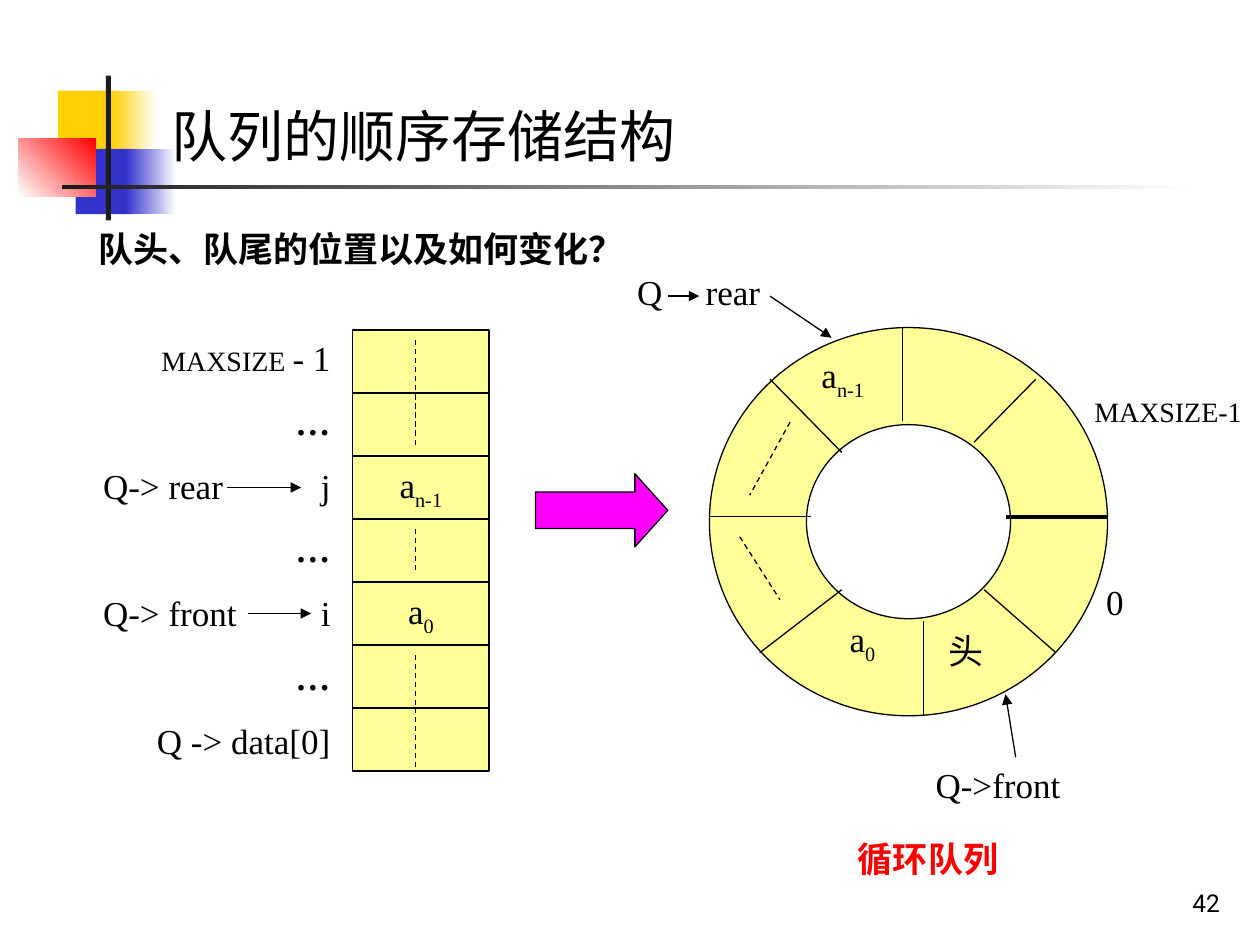
from dataclasses import dataclass

from lxml.etree import SubElement
from pptx import Presentation
from pptx.dml.color import RGBColor
from pptx.enum.dml import MSO_LINE
from pptx.enum.shapes import MSO_CONNECTOR, MSO_SHAPE
from pptx.enum.text import MSO_ANCHOR, PP_ALIGN
from pptx.oxml.ns import qn
from pptx.util import Pt


@dataclass(frozen=True)
class Theme:
    black: str = "000000"
    dark: str = "1C1C1C"
    white: str = "FFFFFF"
    gold: str = "FFCF01"
    blue: str = "3333CC"
    red: str = "FF0000"
    cell: str = "FFFF99"
    magenta: str = "FF00FF"
    serif: str = "Times New Roman"
    sans: str = "Roboto"
    cjk: str = "Noto Sans CJK SC"
    heading: str = "Noto Sans CJK JP"
    title_size: float = 32
    body_size: float = 20
    small_size: float = 16
    number_size: float = 14
    thin: float = 0.75
    thick: float = 2.25


@dataclass(frozen=True)
class Box:
    left: float
    top: float
    width: float
    height: float

    def inner(self, x, y, width, height):
        return Box(self.left + x, self.top + y, width, height)

    def emu(self):
        return Pt(self.left), Pt(self.top), Pt(self.width), Pt(self.height)


THEME = Theme()
rgb = RGBColor.from_string


def add_block(slide, box, fill, kind=MSO_SHAPE.RECTANGLE, outlined=False, angle=0):
    """Draw a preset shape; a pair of colours gives a gradient."""
    block = slide.shapes.add_shape(kind, *box.emu())
    block.shadow.inherit = False
    if isinstance(fill, tuple):
        block.fill.gradient()
        block.fill.gradient_angle = angle
        for stop, color in zip(block.fill.gradient_stops, fill):
            stop.color.rgb = rgb(color)
    else:
        block.fill.solid()
        block.fill.fore_color.rgb = rgb(fill)
    if outlined:
        block.line.color.rgb = rgb(THEME.black)
        block.line.width = Pt(THEME.thin)
    else:
        block.line.fill.background()
    return block


def add_line(slide, box, start, end, width=THEME.thin, dashed=False, arrow=False):
    (x1, y1), (x2, y2) = start, end
    line = slide.shapes.add_connector(
        MSO_CONNECTOR.STRAIGHT, Pt(box.left + x1), Pt(box.top + y1),
        Pt(box.left + x2), Pt(box.top + y2))
    line.line.color.rgb = rgb(THEME.black)
    line.line.width = Pt(width)
    if dashed:
        line.line.dash_style = MSO_LINE.DASH
    if arrow:
        SubElement(line.line._get_or_add_ln(), qn("a:tailEnd"), type="triangle")
    SubElement(line._element.spPr, qn("a:effectLst"))


def style_run(run, font=THEME.serif, size=THEME.body_size, color=THEME.black,
              bold=False, east_asian=THEME.cjk):
    run.font.size = Pt(size)
    run.font.bold = bold
    run.font.color.rgb = rgb(color)
    run.font.name = font
    SubElement(run._r.get_or_add_rPr(), qn("a:ea"), typeface=east_asian)


def write(paragraph, text, align=PP_ALIGN.LEFT, **style):
    """Write one paragraph; what follows an underscore is a subscript."""
    base, _, subscript = text.partition("_")
    paragraph.text = base
    paragraph.alignment = align
    if subscript:
        paragraph.add_run().text = subscript
    for run in paragraph.runs:
        style_run(run, **style)
    if subscript:
        paragraph.runs[-1].font._element.set("baseline", "-25000")


def add_tab(paragraph, position, align):
    tabs = SubElement(paragraph._p.get_or_add_pPr(), qn("a:tabLst"))
    SubElement(tabs, qn("a:tab"), pos=str(Pt(position)), algn=align)


def add_label(slide, box, text, anchor=MSO_ANCHOR.TOP, tab=None, **style):
    frame = slide.shapes.add_textbox(*box.emu()).text_frame
    frame.word_wrap = True
    frame.vertical_anchor = anchor
    paragraph = frame.paragraphs[0]
    if tab:
        add_tab(paragraph, tab, "l")
    write(paragraph, text, **style)


def draw_header(slide, box):
    # Coloured squares, cross bars and title
    for x, y, width, height, fill, angle in (
            (22.3, 8.6, 34.6, 37.4, THEME.gold, 0),
            (52.6, 8.6, 25.9, 37.4, (THEME.gold, THEME.white), 0),
            (32.4, 41.8, 33.1, 37.4, THEME.blue, 0),
            (61.2, 41.8, 28.8, 37.4, (THEME.blue, THEME.white), 0),
            (0, 36, 43.9, 33.1, (THEME.white, THEME.red), 45),
            (49.7, 0, 2.9, 82.8, THEME.dark, 0),
            (24.5, 62.6, 648, 2.2, (THEME.dark, THEME.white), 0)):
        add_block(slide, box.inner(x, y, width, height), fill, angle=angle)
    add_label(slide, box.inner(79.9, 11.5, 629.3, 46.1), "队列的顺序存储结构",
              font=THEME.heading, size=THEME.title_size, east_asian=THEME.heading)


def draw_array(slide, box):
    # Stack of cells
    values = ("", "", "a_n-1", "", "a_0", "", "")
    row = box.height / len(values)
    for index, value in enumerate(values):
        cell = add_block(slide, box.inner(0, index * row, box.width, row),
                         THEME.cell, outlined=True)
        if value:
            cell.text_frame.word_wrap = False
            cell.text_frame.vertical_anchor = MSO_ANCHOR.MIDDLE
            write(cell.text_frame.paragraphs[0], value, PP_ALIGN.CENTER)
    for top, bottom in ((5.8, 65.5), (113.8, 137.5), (185.8, 216), (216, 252)):
        add_line(slide, box, (36, top), (36, bottom), dashed=True)

    # Row labels, set against a right tab
    labels = ("\tMAXSIZE - 1", "\t…", "Q-> rear\tj", "\t…",
              "Q-> front\ti", "\t…", "\tQ -> data[0]")
    frame = slide.shapes.add_textbox(*box.inner(-149.8, 0, 149.8, 250.6).emu()).text_frame
    frame.word_wrap = True
    for index, label in enumerate(labels):
        paragraph = frame.add_paragraph() if index else frame.paragraphs[0]
        if index:
            paragraph.space_before = Pt(12.5)
        add_tab(paragraph, 130, "r")
        write(paragraph, label, bold="…" in label)
    first = frame.paragraphs[0]
    first.runs[0].text = "\tMAXSIZE "
    first.runs[0].font.size = Pt(THEME.small_size)
    tail = first.add_run()
    tail.text = "- 1"
    style_run(tail)

    # Arrows from the two indices
    add_line(slide, box, (-72, 90), (-29.5, 90), arrow=True)
    add_line(slide, box, (-59.8, 162), (-23.8, 162), arrow=True)


def draw_ring(slide, box):
    ring = add_block(slide, box, THEME.cell, MSO_SHAPE.DONUT, outlined=True)
    ring.adjustments[0] = 0.25

    # Sector borders, with the seam between last and first slot
    for start, end in (((122.4, 167.8), (122.4, 221.8)), ((110.2, 0), (110.2, 53.3)),
                       ((0, 108), (58.3, 108)), ((186.5, 29.5), (151.2, 65.5)),
                       ((28.8, 185.8), (75.6, 149.8)), ((157, 149.8), (198, 185.8)),
                       ((34.6, 29.5), (75.6, 71.3))):
        add_line(slide, box, start, end)
    add_line(slide, box, (169.2, 108), (227.5, 108), width=THEME.thick)

    # Omitted slots and pointers
    for start, end in (((46.1, 54), (23, 95.8)), ((17.3, 119.5), (40.3, 155.5))):
        add_line(slide, box, start, end, dashed=True)
    for start, end in (((-23.8, -18), (-5.8, -18)), ((34.6, -18), (69.8, 5.8)),
                       ((175, 245.5), (169.2, 209.5))):
        add_line(slide, box, start, end, arrow=True)

    # Labels
    center = PP_ALIGN.CENTER
    for x, y, width, height, text, style in (
            (-48.4, -36, 100, 31.7, "Q\trear", {"tab": 39.2}),
            (56.9, 11.5, 66.2, 34.6, "a_n-1", {}),
            (67, 162, 41, 34.6, "a_0", {"align": center}),
            (128.9, 169.2, 36, 31.7, "头", {"align": center}),
            (209.5, 34.6, 105.1, 30, "MAXSIZE-1",
             {"align": center, "size": THEME.small_size}),
            (219.6, 141.1, 30, 31.7, "0", {}),
            (110.9, 245.5, 108, 31.7, "Q->front", {"align": center}),
            (77.8, 288, 117.4, 31.7, "循环队列",
             {"font": THEME.sans, "color": THEME.red, "bold": True})):
        add_label(slide, box.inner(x, y, width, height), text, **style)


def main():
    deck = Presentation()
    deck.slide_width, deck.slide_height = Pt(720), Pt(540)
    slide = deck.slides.add_slide(deck.slide_layouts[6])
    draw_header(slide, Box(10.8, 43.2, 709.2, 82.8))
    add_label(slide, Box(49, 126.7, 324.7, 31.7), "队头、队尾的位置以及如何变化？",
              font=THEME.cjk, bold=True)
    draw_array(slide, Box(201.6, 188.6, 77.8, 252))
    transform = add_block(slide, Box(306, 270.7, 75.6, 41.8), THEME.magenta,
                          MSO_SHAPE.RIGHT_ARROW, outlined=True)
    transform.adjustments[1] = 0.45
    draw_ring(slide, Box(405.4, 187.2, 227.5, 221.8))
    add_label(slide, Box(554.4, 491.8, 149.8, 36), "42", anchor=MSO_ANCHOR.BOTTOM,
              align=PP_ALIGN.RIGHT, font=THEME.sans, size=THEME.number_size)
    deck.save("out.pptx")


if __name__ == "__main__":
    main()
